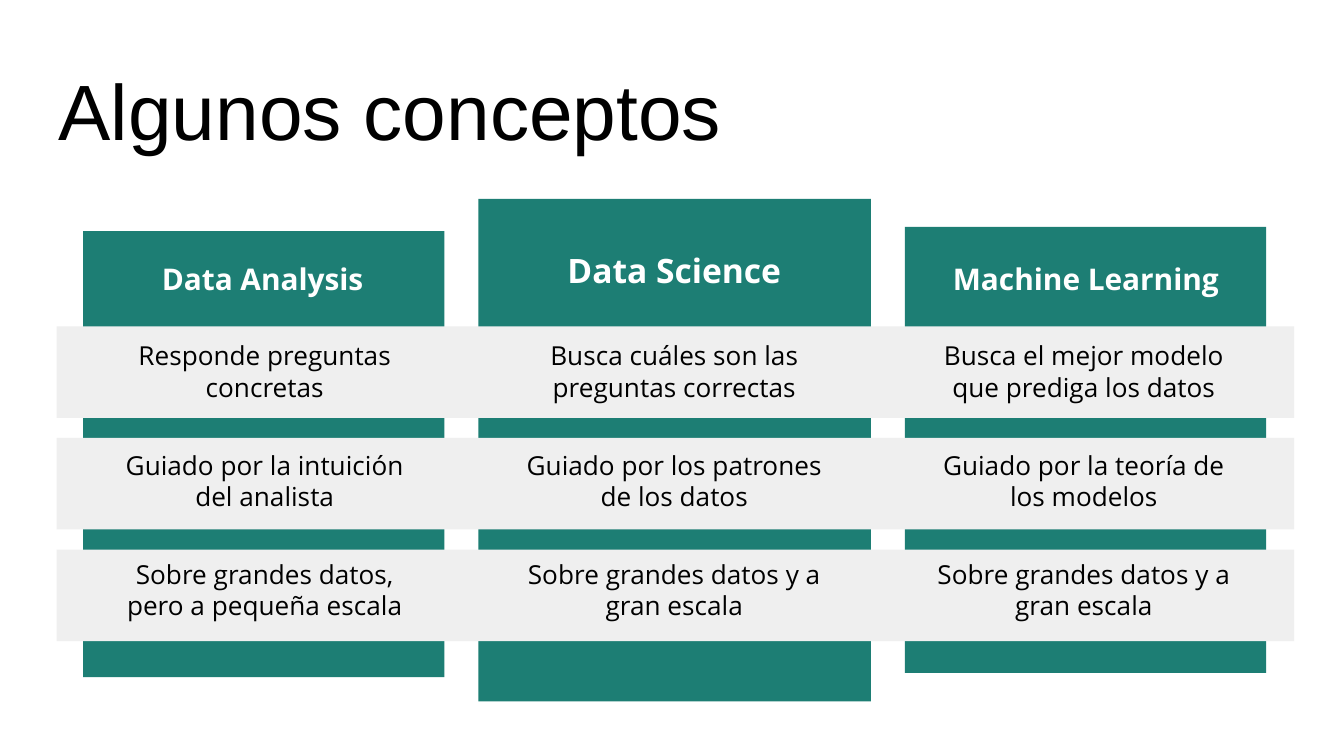
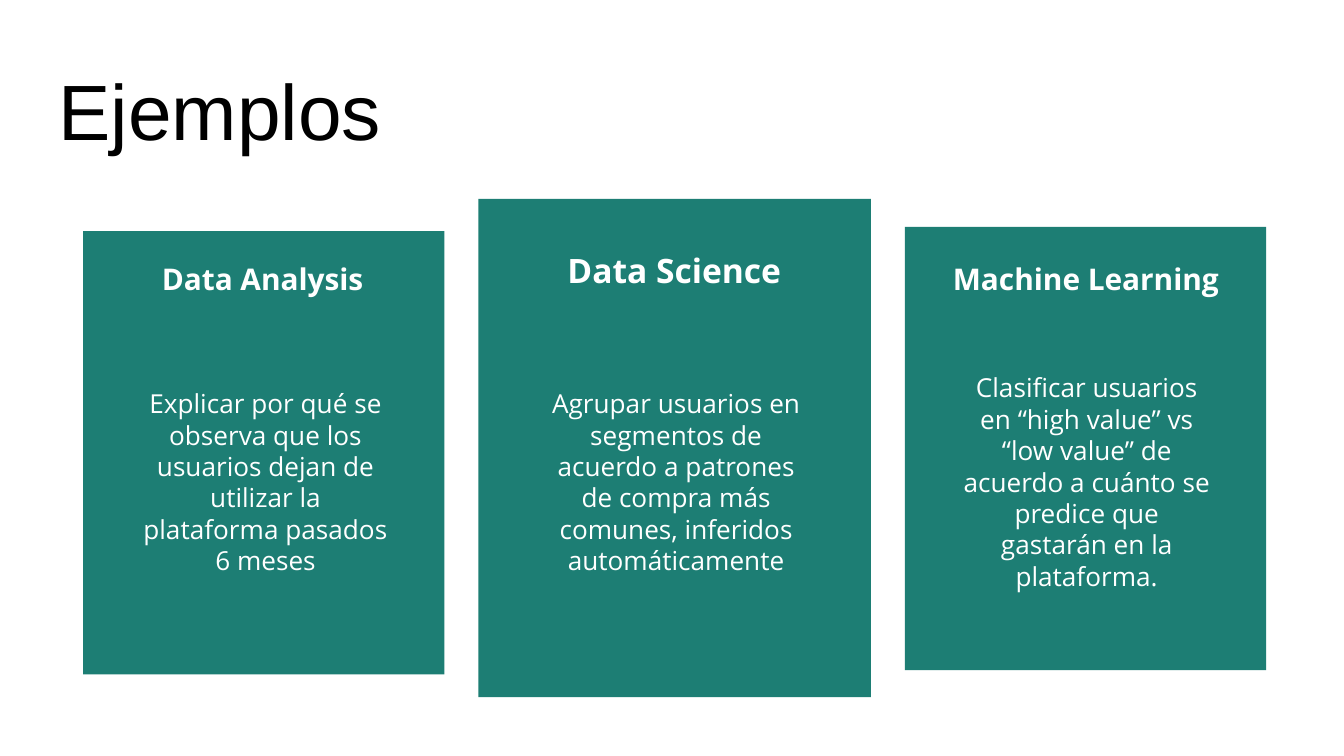
from dataclasses import dataclass

from pptx import Presentation
from pptx import util as u
from pptx.dml import color
from pptx.enum import shapes, text

TEAL = "1D7E74"
LIGHT_GRAY = "EFEFEF"
WHITE = "FFFFFF"
BLACK = "000000"
TITLE_FONT = "Arial"
TEXT_FONT = "Open Sans"
INSET = u.Cm(0.25)
COLUMN_GAP = 0.64
FIRST_COLUMN_LEFT = 1.57


@dataclass(frozen=True)
class Area:
    left: float
    top: float
    width: float
    height: float


@dataclass(frozen=True)
class Discipline:
    name: str
    width: float
    top: float
    name_top: float
    name_size: int


@dataclass(frozen=True)
class Style:
    size: int
    ink: str
    font: str = TEXT_FONT
    bold: bool = False
    align: text.PP_ALIGN = text.PP_ALIGN.CENTER
    anchor: text.MSO_ANCHOR = text.MSO_ANCHOR.TOP
    gap: int = 0


@dataclass(frozen=True)
class Topic:
    title: str
    heights: tuple[float, ...]
    first_text: Area
    text_step: float
    style: Style
    texts: tuple[tuple[str, ...], ...]
    bands: int = 0


TITLE_AREA = Area(0.86, 0.89, 23.67, 2.31)
TITLE_STYLE = Style(42, BLACK, TITLE_FONT, align=text.PP_ALIGN.LEFT,
                    anchor=text.MSO_ANCHOR.BOTTOM)
FIRST_BAND = Area(1.07, 6.17, 23.39, 1.73)
BAND_STEP = 2.11
NAME_LEFT, NAME_STEP, NAME_WIDTH, NAME_HEIGHT = 2.08, 7.78, 5.77, 1.35

DISCIPLINES = (
    Discipline("Data Analysis", 6.83, 4.37, 4.67, 16),
    Discipline("Data Science", 7.42, 3.76, 4.47, 18),
    Discipline("Machine Learning", 6.83, 4.29, 4.67, 16),
)

TOPICS = (
    Topic(
        "Algunos conceptos", (8.43, 9.5, 8.43),
        Area(1.93, 6.17, 6.15, 6.58), 7.74, Style(14, BLACK, gap=25),
        (
            ("Responde preguntas concretas",
             "Guiado por la intuición del analista",
             "Sobre grandes datos, pero a pequeña escala"),
            ("Busca cuáles son las preguntas correctas",
             "Guiado por los patrones de los datos",
             "Sobre grandes datos y a gran escala"),
            ("Busca el mejor modelo que prediga los datos",
             "Guiado por la teoría de los modelos",
             "Sobre grandes datos y a gran escala"),
        ),
        bands=3,
    ),
    Topic(
        "Ejemplos", (8.38, 9.42, 8.38),
        Area(2.39, 6.17, 5.26, 5.87), 7.76,
        Style(14, WHITE, anchor=text.MSO_ANCHOR.MIDDLE),
        (
            ("Explicar por qué se observa que los usuarios dejan de utilizar "
             "la plataforma pasados 6 meses",),
            ("Agrupar usuarios en segmentos de acuerdo a patrones de compra "
             "más comunes, inferidos automáticamente",),
            ("Clasificar usuarios en “high value” vs “low value” de acuerdo "
             "a cuánto se predice que gastarán en la plataforma.",),
        ),
    ),
)


def rgb(value: str) -> color.RGBColor:
    return color.RGBColor.from_string(value)


def box(area: Area) -> tuple[u.Cm, ...]:
    return tuple(u.Cm(v) for v in (area.left, area.top, area.width, area.height))


def write(frame, paragraphs: tuple[str, ...], style: Style) -> None:
    frame.word_wrap = True
    frame.auto_size = text.MSO_AUTO_SIZE.NONE
    frame.vertical_anchor = style.anchor
    frame.margin_left = frame.margin_right = INSET
    frame.margin_top = frame.margin_bottom = INSET
    for index, content in enumerate(paragraphs):
        paragraph = frame.add_paragraph() if index else frame.paragraphs[0]
        paragraph.alignment = style.align
        paragraph.space_before = u.Pt(style.gap if index else 0)
        run = paragraph.add_run()
        run.text = content
        run.font.name = style.font
        run.font.size = u.Pt(style.size)
        run.font.bold = style.bold
        run.font.color.rgb = rgb(style.ink)


def add_title(slide, title: str) -> None:
    heading = slide.shapes.title
    heading.left, heading.top, heading.width, heading.height = box(TITLE_AREA)
    write(heading.text_frame, (title,), TITLE_STYLE)


def add_block(slide, area: Area, fill: str) -> None:
    block = slide.shapes.add_shape(shapes.MSO_SHAPE.RECTANGLE, *box(area))
    block.shadow.inherit = False
    block.fill.solid()
    block.fill.fore_color.rgb = rgb(fill)
    block.line.fill.background()


def add_text(slide, area: Area, paragraphs: tuple[str, ...], style: Style) -> None:
    write(slide.shapes.add_textbox(*box(area)).text_frame, paragraphs, style)


def add_columns(slide, heights: tuple[float, ...]) -> None:
    left = FIRST_COLUMN_LEFT
    for discipline, height in zip(DISCIPLINES, heights):
        add_block(slide, Area(left, discipline.top, discipline.width, height), TEAL)
        left += discipline.width + COLUMN_GAP


def add_bands(slide, count: int) -> None:
    for row in range(count):
        top = FIRST_BAND.top + row * BAND_STEP
        add_block(slide, Area(FIRST_BAND.left, top, FIRST_BAND.width,
                              FIRST_BAND.height), LIGHT_GRAY)


def add_names(slide) -> None:
    for column, discipline in enumerate(DISCIPLINES):
        area = Area(NAME_LEFT + column * NAME_STEP, discipline.name_top,
                    NAME_WIDTH, NAME_HEIGHT)
        add_text(slide, area, (discipline.name,),
                 Style(discipline.name_size, WHITE, bold=True))


def add_topic(deck, topic: Topic) -> None:
    slide = deck.slides.add_slide(deck.slide_layouts[5])
    slide.background.fill.solid()
    slide.background.fill.fore_color.rgb = rgb(WHITE)
    add_title(slide, topic.title)
    add_columns(slide, topic.heights)
    add_bands(slide, topic.bands)
    add_names(slide)
    first = topic.first_text
    for column, paragraphs in enumerate(topic.texts):
        area = Area(first.left + column * topic.text_step, first.top,
                    first.width, first.height)
        add_text(slide, area, paragraphs, topic.style)


def main() -> None:
    deck = Presentation()
    deck.slide_width, deck.slide_height = u.Cm(25.4), u.Cm(14.29)
    for topic in TOPICS:
        add_topic(deck, topic)
    deck.save("out.pptx")


if __name__ == "__main__":
    main()
